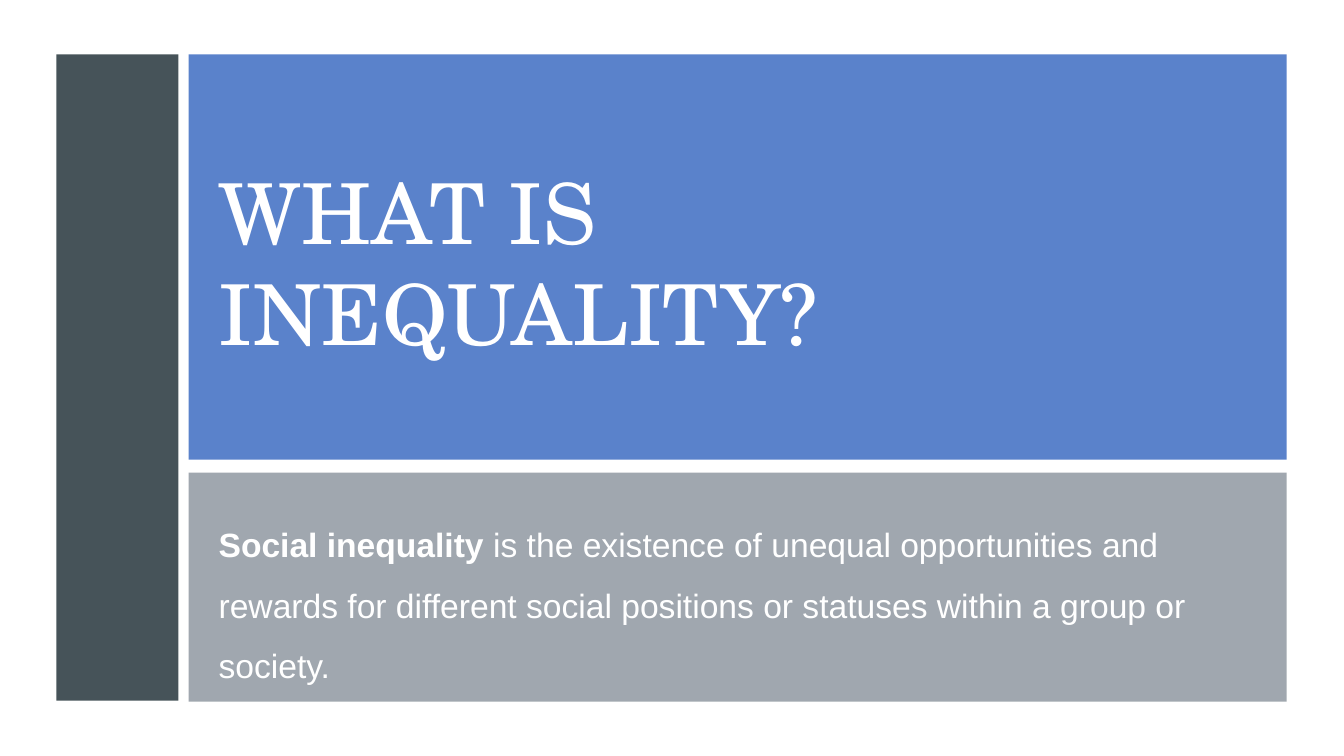
from lxml import etree
from pptx import Presentation
from pptx.dml.color import RGBColor
from pptx.enum import shapes, text
from pptx.oxml.ns import qn
from pptx.util import Inches, Pt

WHITE = "FFFFFF"
TOP = 0.54
LEFT, WIDTH = 1.87, 10.89  # both panels
INSET = 2.07  # left edge of the text


def paint(fill, color, alpha=100):
    fill.solid()
    fill.fore_color.rgb = RGBColor.from_string(color)
    if alpha < 100:
        tint = fill._xPr.find(".//" + qn("a:srgbClr"))
        etree.SubElement(tint, qn("a:alpha"), val=str(alpha * 1000))


def panel(slide, x, y, w, h, color, alpha=100):
    box = slide.shapes.add_shape(
        shapes.MSO_SHAPE.RECTANGLE, Inches(x), Inches(y), Inches(w), Inches(h))
    box.shadow.inherit = False
    paint(box.fill, color, alpha)
    box.line.fill.background()


def style(para, face, size):
    para.alignment = text.PP_ALIGN.LEFT
    para.font.name = face
    para.font.size = Pt(size)
    para.font.color.rgb = RGBColor.from_string(WHITE)


def head(slide, words):
    title = slide.shapes.title
    title.left, title.top = Inches(INSET), Inches(0.77)
    title.width, title.height = Inches(8.28), Inches(3.64)
    # Bring the title in front of its panel
    slide.shapes._spTree.append(title._element)
    frame = title.text_frame
    frame.text = words
    frame.word_wrap = True
    frame.auto_size = text.MSO_AUTO_SIZE.NONE
    frame.vertical_anchor = text.MSO_ANCHOR.MIDDLE
    style(frame.paragraphs[0], "TeX Gyre Schola", 60)


def body(slide, term, rest):
    box = slide.shapes.add_textbox(
        Inches(INSET), Inches(4.95), Inches(9.98), Inches(1.74))
    frame = box.text_frame
    frame.word_wrap = True
    para = frame.paragraphs[0]
    para.line_spacing = 1.5
    para.space_after = Pt(8)
    style(para, "Arial", 24)
    run = para.add_run()
    run.text = term
    run.font.bold = True
    para.add_run().text = rest


def main():
    deck = Presentation()
    deck.slide_width, deck.slide_height = Inches(13.33), Inches(7.5)
    slide = deck.slides.add_slide(deck.slide_layouts[5])
    paint(slide.background.fill, WHITE)

    # Side bar and panels
    panel(slide, 0.56, TOP, 1.21, 6.41, "465359")
    panel(slide, LEFT, TOP, WIDTH, 4.02, "5A82CB")
    panel(slide, LEFT, 4.69, WIDTH, 2.27, "89929B", alpha=80)

    # Title and definition
    head(slide, "WHAT IS INEQUALITY?")
    body(slide, "Social inequality",
         " is the existence of unequal opportunities and rewards for "
         "different social positions or statuses within a group or society.")
    deck.save("out.pptx")


if __name__ == "__main__":
    main()
